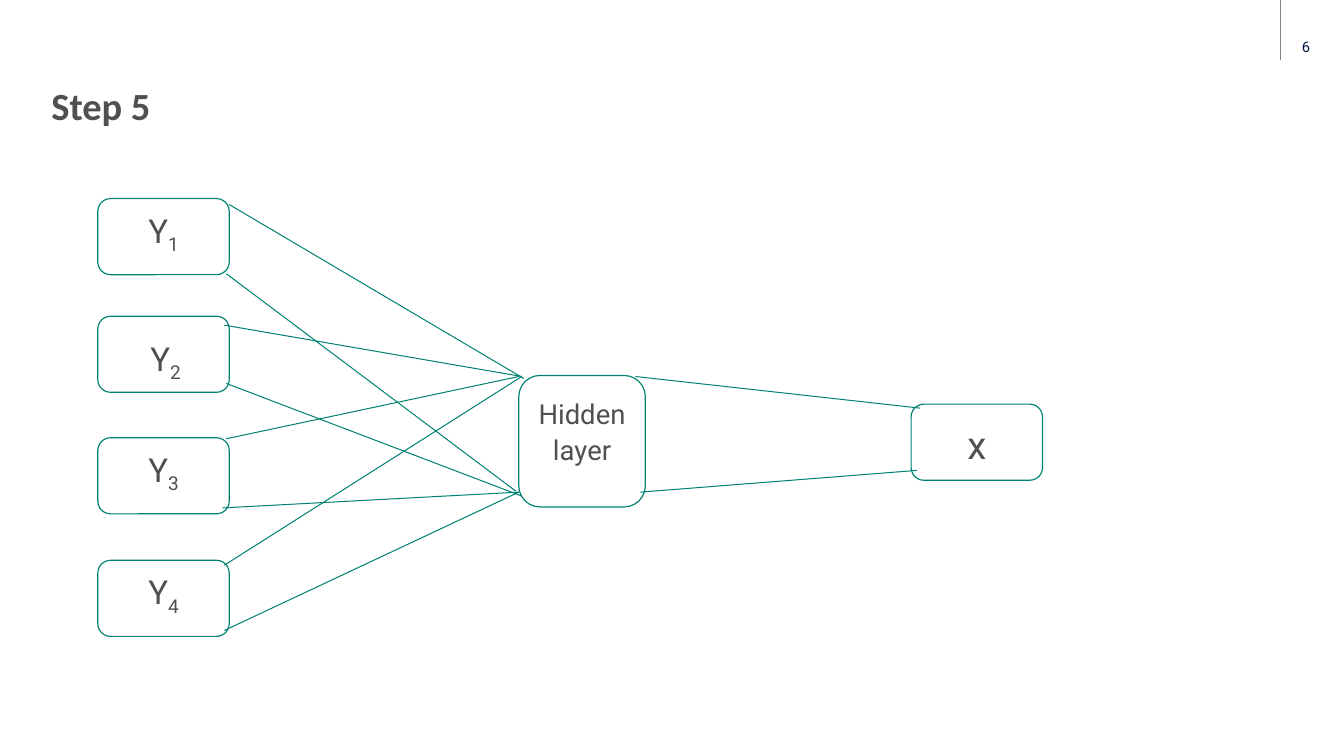
import pptx
import pptx.util
import pptx.dml.color
import pptx.enum.shapes
import pptx.enum.text
import pptx.oxml.ns
import lxml.etree

Inches, Pt = pptx.util.Inches, pptx.util.Pt
ALIGN, ANCHOR = pptx.enum.text.PP_ALIGN, pptx.enum.text.MSO_ANCHOR
WIDTH, HEIGHT = 13.6, 7.65
COLORS = {"text": "505050", "teal": "008272", "navy": "00183C",
          "rule": "7F8490", "white": "FFFFFF"}

NODE_W, NODE_H = 1.33, 0.77
INPUT_TOPS = (0, 1.19, 2.42, 3.66)
# Start x, start y, end x, end y, measured from the network's top left corner
WIRES = (
    (1.33, 0.06, 4.31, 1.82), (1.3, 0.76, 4.23, 2.96),
    (1.28, 1.28, 4.29, 1.8), (1.3, 1.87, 4.29, 3.01),
    (1.3, 2.43, 4.26, 1.8), (1.26, 3.13, 4.26, 2.97),
    (1.28, 3.71, 4.29, 1.8), (1.28, 4.37, 4.26, 2.97),
    (5.44, 1.8, 8.32, 2.12), (5.49, 2.97, 8.29, 2.75),
)


def rgb(name):
    return pptx.dml.color.RGBColor.from_string(COLORS[name])


def add_run(p, text, size, font="Roboto", color="text", bold=False):
    r = p.add_run()
    r.text = text
    r.font.size, r.font.name, r.font.bold = Pt(size), font, bold
    r.font.color.rgb = rgb(color)
    return r


def add_line(s, x1, y1, x2, y2, color):
    line = s.shapes.add_connector(pptx.enum.shapes.MSO_CONNECTOR.STRAIGHT,
                                  *map(Inches, (x1, y1, x2, y2)))
    line.line.color.rgb, line.line.width = rgb(color), Pt(0.75)
    lxml.etree.SubElement(line._element.spPr, pptx.oxml.ns.qn("a:effectLst"))


def add_node(s, x, y, w, h, text, size, anchor, subscript=""):
    sp = s.shapes.add_shape(pptx.enum.shapes.MSO_SHAPE.ROUNDED_RECTANGLE,
                            *map(Inches, (x, y, w, h)))
    sp.shadow.inherit = False
    sp.fill.solid()
    sp.fill.fore_color.rgb = rgb("white")
    sp.line.color.rgb, sp.line.width = rgb("teal"), Pt(0.85)
    tf = sp.text_frame
    tf.word_wrap, tf.vertical_anchor = True, anchor
    p = tf.paragraphs[0]
    p.alignment, p.line_spacing = ALIGN.CENTER, 1.07
    add_run(p, text, size)
    if subscript:
        r = add_run(p, subscript, size)
        r.font._element.set("baseline", "-25000")
    return tf


def add_network(s, x, y):
    for i, top in enumerate(INPUT_TOPS, 1):
        anchor = ANCHOR.BOTTOM if i == 2 else ANCHOR.TOP
        tf = add_node(s, x, y + top, NODE_W, NODE_H, "Y", 24, anchor, str(i))
        if i == 2:
            tf.margin_left = Inches(0.14)
    tf = add_node(s, x + 4.26, y + 1.79, 1.28, 1.33, "Hidden layer", 20,
                  ANCHOR.MIDDLE)
    tf.margin_bottom = Inches(0.27)
    add_node(s, x + 8.23, y + 2.08, NODE_W, NODE_H, "x", 28, ANCHOR.MIDDLE)
    for x1, y1, x2, y2 in WIRES:
        add_line(s, x + x1, y + y1, x + x2, y + y2, "teal")


def add_title(s, x, y, w, h):
    title = s.shapes.title
    title.left, title.top, title.width, title.height = map(Inches, (x, y, w, h))
    tf = title.text_frame
    tf.word_wrap, tf.vertical_anchor = True, ANCHOR.TOP
    tf.margin_left = tf.margin_right = Inches(0.16)
    tf.margin_top = tf.margin_bottom = Inches(0.1)
    p = tf.paragraphs[0]
    p.alignment = ALIGN.LEFT
    add_run(p, "Step 5", 28, "Calibri", bold=True)


def add_page_number(s, x, y, w, h):
    add_line(s, x + 0.03, 0, x + 0.03, 0.61, "rule")
    tf = s.shapes.add_textbox(*map(Inches, (x, y, w, h))).text_frame
    tf.word_wrap = True
    p = tf.paragraphs[0]
    p.alignment = ALIGN.CENTER
    add_run(p, "6", 10.7, color="navy")


def main():
    prs = pptx.Presentation()
    prs.slide_width, prs.slide_height = Inches(WIDTH), Inches(HEIGHT)
    s = prs.slides.add_slide(prs.slide_layouts.get_by_name("Title Only"))
    add_page_number(s, 12.93, 0.33, 0.57, 0.41)
    add_title(s, 0.36, 0.73, 11.88, 0.75)
    add_network(s, 0.99, 2.01)
    prs.save("out.pptx")


if __name__ == "__main__":
    main()
